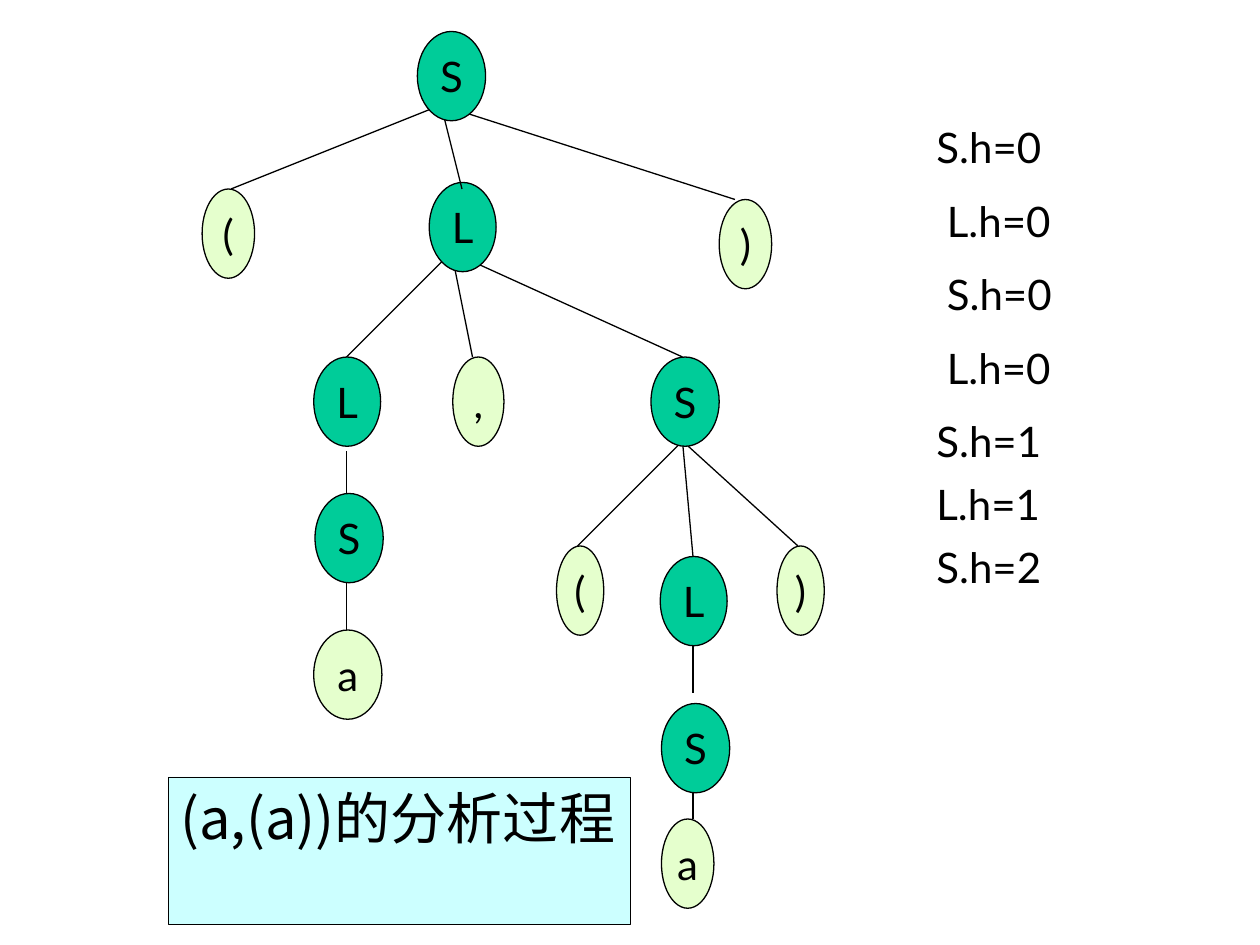
"""Build a slide with the annotated parse tree of (a,(a))."""
from typing import NamedTuple

from lxml import etree
from pptx import Presentation
from pptx.dml.color import RGBColor
from pptx.enum.shapes import MSO_CONNECTOR, MSO_SHAPE
from pptx.enum.text import MSO_ANCHOR, MSO_AUTO_SIZE, PP_ALIGN
from pptx.oxml.ns import qn
from pptx.util import Emu, Pt

STRAIGHT = MSO_CONNECTOR.STRAIGHT
ELLIPSE = MSO_SHAPE.OVAL
RECTANGLE = MSO_SHAPE.RECTANGLE
TOP, MIDDLE = MSO_ANCHOR.TOP, MSO_ANCHOR.MIDDLE
FIT_SHAPE = MSO_AUTO_SIZE.SHAPE_TO_FIT_TEXT
LEFT, CENTER = PP_ALIGN.LEFT, PP_ALIGN.CENTER

EMU_PER_PX = 9525
NODE_HEIGHT = 68


def px(length):
    return Emu(length * EMU_PER_PX)


def color(value):
    return RGBColor.from_string(value)


class Node(NamedTuple):
    label: str
    left: int
    top: int
    width: int
    head: tuple = ()
    foot: tuple = ()
    children: tuple = ()


class TreeSlide:
    ink = "000000"
    nonterminal_fill = "00CC99"
    terminal_fill = "E5FFCD"
    caption_fill = "CCFFFF"
    font = "Lato"
    caption_font = "Noto Sans CJK JP"

    def __init__(self, slide):
        self.shapes = slide.shapes

    def set_text(self, frame, text, size, font, align=LEFT, anchor=TOP):
        frame.text = text
        frame.vertical_anchor = anchor
        paragraph = frame.paragraphs[0]
        paragraph.alignment = align
        run = paragraph.runs[0]
        run.font.size = Pt(size)
        run.font.name = font
        run.font.color.rgb = color(self.ink)
        east_asian = etree.SubElement(run.font._element, qn("a:ea"))
        east_asian.set("typeface", font)

    def filled(self, kind, box, fill, line_width):
        shape = self.shapes.add_shape(kind, *map(px, box))
        shape.shadow.inherit = False
        shape.fill.solid()
        shape.fill.fore_color.rgb = color(fill)
        shape.line.color.rgb = color(self.ink)
        shape.line.width = Pt(line_width)
        return shape

    def branch(self, start, end):
        line = self.shapes.add_connector(STRAIGHT, *map(px, start + end))
        line.line.color.rgb = color(self.ink)
        line.line.width = Pt(0.75)
        etree.SubElement(line._element.spPr, qn("a:effectLst"))

    def tree(self, node):
        for child in node.children:
            self.tree(child)
        for child in node.children:
            self.branch(node.foot, child.head)
        fill = self.nonterminal_fill if node.children else self.terminal_fill
        box = (node.left, node.top, node.width, NODE_HEIGHT)
        oval = self.filled(ELLIPSE, box, fill, 0.75)
        oval.text_frame.word_wrap = False
        self.set_text(oval.text_frame, node.label, 24, self.font, CENTER, MIDDLE)

    def attribute(self, text, left, top, width):
        frame = self.shapes.add_textbox(*map(px, (left, top, width, 48))).text_frame
        frame.word_wrap = True
        frame.auto_size = FIT_SHAPE
        self.set_text(frame, text, 24, self.font)

    def caption(self, text, box):
        frame = self.filled(RECTANGLE, box, self.caption_fill, 0.25).text_frame
        frame.word_wrap = True
        self.set_text(frame, text, 32, self.caption_font)


FIRST_ITEM = Node("L", 239, 272, 51, (264, 272), (264, 344), (
    Node("S", 240, 376, 52, (264, 376), (264, 440), (
        Node("a", 239, 480, 52, (264, 480)),
    )),
))
INNER_LIST = Node("S", 496, 272, 52, (520, 272), (520, 336), (
    Node("(", 424, 416, 36, (440, 416)),
    Node("L", 503, 424, 51, (528, 424), (528, 488), (
        Node("S", 504, 536, 52, (528, 528), (528, 600), (
            Node("a", 504, 624, 40, (528, 624)),
        )),
    )),
    Node(")", 592, 416, 36, (608, 416)),
))
ROOT = Node("S", 318, 24, 52, foot=(336, 80), children=(
    Node("(", 154, 144, 40, (176, 144)),
    Node("L", 327, 139, 51, (352, 144), (344, 192), (
        FIRST_ITEM,
        Node(",", 345, 272, 39, (360, 272)),
        INNER_LIST,
    )),
    Node(")", 548, 152, 40, (560, 152)),
))

ATTRIBUTES = [
    ("S.h=0", 704, 88, 176),
    ("L.h=0", 712, 144, 168),
    ("S.h=0", 712, 200, 160),
    ("L.h=0", 712, 256, 152),
    ("S.h=1", 704, 312, 144),
    ("L.h=1", 704, 360, 168),
    ("S.h=2", 704, 408, 192),
]


def main():
    deck = Presentation()
    deck.slide_width, deck.slide_height = px(960), px(720)
    page = TreeSlide(deck.slides.add_slide(deck.slide_layouts[6]))
    page.tree(ROOT)
    for attribute in ATTRIBUTES:
        page.attribute(*attribute)
    page.caption("(a,(a))的分析过程", (128, 592, 352, 112))
    deck.save("out.pptx")


if __name__ == "__main__":
    main()
